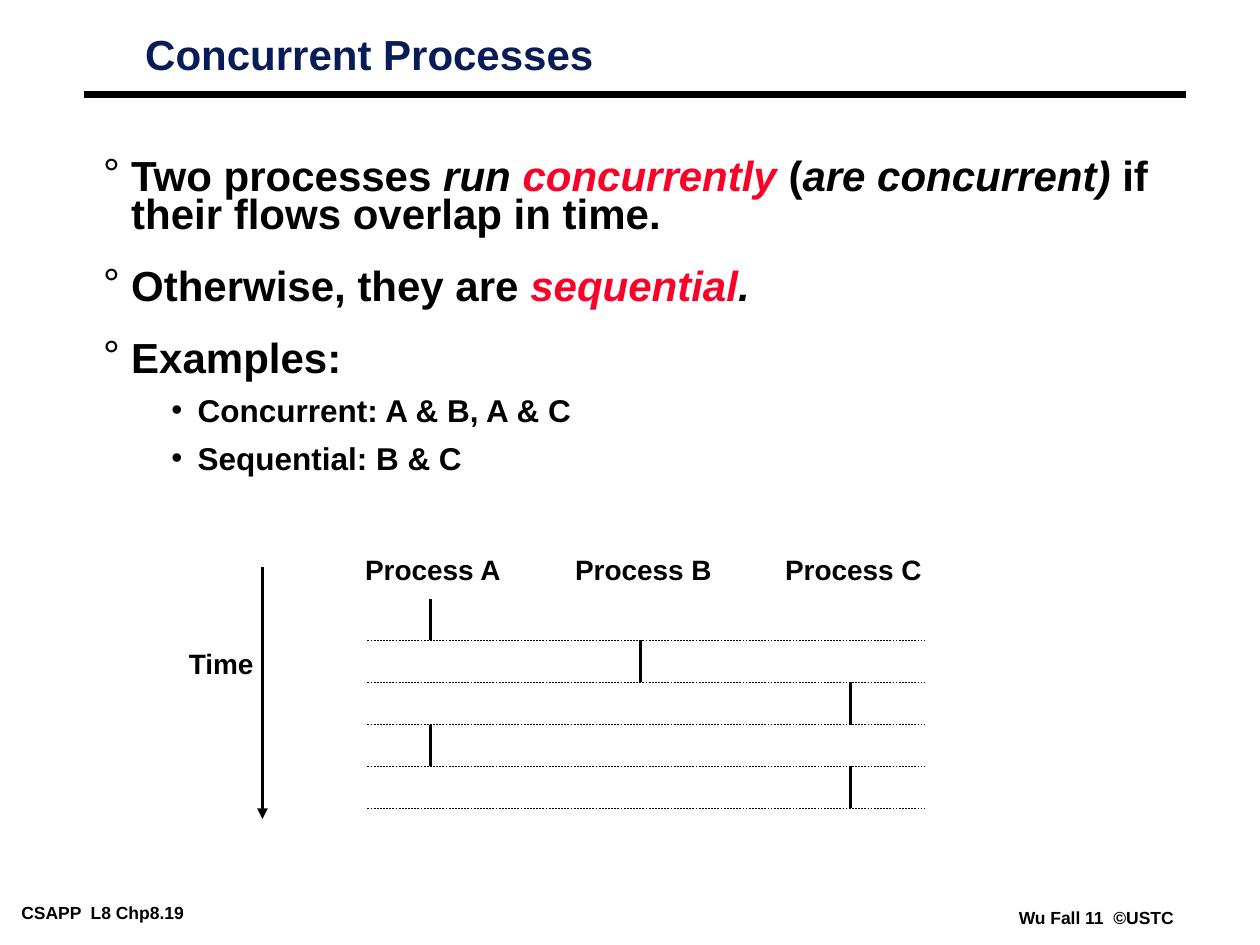
from dataclasses import dataclass

from lxml import etree
from pptx import Presentation
from pptx.dml.color import RGBColor
from pptx.enum.dml import MSO_LINE
from pptx.enum.shapes import MSO_CONNECTOR
from pptx.enum.text import MSO_ANCHOR, MSO_AUTO_SIZE, PP_ALIGN
from pptx.oxml.ns import qn
from pptx.util import Pt

DASH = MSO_LINE.DASH
STRAIGHT = MSO_CONNECTOR.STRAIGHT
TOP = MSO_ANCHOR.TOP
FIXED, GROW = MSO_AUTO_SIZE.NONE, MSO_AUTO_SIZE.SHAPE_TO_FIT_TEXT
LEFT = PP_ALIGN.LEFT


@dataclass(frozen=True)
class Theme:
    """Hold the font, colours and type sizes."""
    font: str = "Arial"
    ink: str = "000000"
    navy: str = "081D58"
    red: str = "FC0128"
    head: int = 24
    sub: int = 18
    label: int = 16
    foot: int = 10


THEME = Theme()
LEVELS = (
    {"size": THEME.head, "mark": "°", "left": 16, "hang": 16,
     "form": {"level": 0, "line_spacing": 0.75, "space_before": Pt(19.5)}},
    {"size": THEME.sub, "mark": "•", "left": 54, "hang": 15,
     "form": {"level": 1, "line_spacing": 0.85, "space_before": Pt(9)}},
)
PLAIN, SLANT, KEY = {}, {"italic": True}, {"italic": True, "color": THEME.red}
POINTS = (
    (0, (("Two processes ", PLAIN), ("run ", SLANT), ("concurrently", KEY),
         (" (", PLAIN), ("are concurrent)", SLANT),
         (" if their flows overlap in time.", PLAIN))),
    (0, (("Otherwise, they are ", PLAIN), ("sequential", KEY), (".", SLANT))),
    (0, (("Examples:", PLAIN),)),
    (1, (("Concurrent: A & B, A & C", PLAIN),)),
    (1, (("Sequential: B & C", PLAIN),)),
)
FOOTS = (("CSAPP  L8 Chp8.19", 7.2, 513, 140.4),
         ("Wu Fall 11  ©USTC", 577.2, 516.2, 103))
TURNS = "ABCAC"
LANES = {name: 246 + 120 * i for i, name in enumerate("ABC")}
START, STEP = 342, 24


def apply(item, form):
    """Set each named value on the item."""
    for name, value in form.items():
        setattr(item, name, value)


class Painter:
    """Draw styled elements on the current slide."""

    def __init__(self, theme, slide):
        self.theme, self.slide = theme, slide

    def frame(self, shape, box, pad, **form):
        """Place a text shape and return its frame."""
        apply(shape, dict(zip(("left", "top", "width", "height"), map(Pt, box))))
        side, edge = map(Pt, pad)
        apply(shape.text_frame, {
            "margin_left": side, "margin_right": side, "margin_top": edge,
            "margin_bottom": edge, "vertical_anchor": TOP, **form})
        return shape.text_frame

    def run(self, para, text, size, color=None, italic=False):
        """Add one run of bold text."""
        run = para.add_run()
        run.text = text
        apply(run.font, {"name": self.theme.font, "size": Pt(size),
                         "bold": True, "italic": italic})
        run.font.color.rgb = RGBColor.from_string(color or self.theme.ink)

    def title(self, text, box):
        """Fill the title placeholder."""
        frame = self.frame(self.slide.shapes.title, box, (5, 2.2),
                           word_wrap=True, auto_size=FIXED)
        para = frame.paragraphs[0]
        apply(para, {"alignment": LEFT, "line_spacing": 0.87})
        self.run(para, text, self.theme.head, self.theme.navy)

    def bullet(self, para, mark, left, hang):
        """Give a paragraph its mark and indent."""
        props = para._p.get_or_add_pPr()
        props.set("marL", str(Pt(left)))
        props.set("indent", str(-Pt(hang)))
        tint = etree.SubElement(props, qn("a:buClr"))
        etree.SubElement(tint, qn("a:srgbClr"), val=self.theme.ink)
        etree.SubElement(props, qn("a:buFont"), typeface=self.theme.font)
        etree.SubElement(props, qn("a:buChar"), char=mark)

    def body(self, points, box):
        """Fill the body placeholder with a list."""
        frame = self.frame(self.slide.placeholders[1], box, (5, 2.2),
                           word_wrap=True, auto_size=FIXED)
        for i, (level, runs) in enumerate(points):
            para = frame.add_paragraph() if i else frame.paragraphs[0]
            look = LEVELS[level]
            self.bullet(para, look["mark"], look["left"], look["hang"])
            apply(para, {"alignment": LEFT, **look["form"]})
            if not i:
                para.space_before = Pt(0)
            for text, style in runs:
                self.run(para, text, look["size"], **style)

    def label(self, text, box, size, pad=(7.2, 3.6)):
        """Add a one-line text box."""
        shape = self.slide.shapes.add_textbox(*map(Pt, box))
        frame = self.frame(shape, box, pad, word_wrap=False, auto_size=GROW)
        frame.paragraphs[0].alignment = LEFT
        self.run(frame.paragraphs[0], text, size)

    def line(self, ends, width, dash=None, arrow=False):
        """Add a straight line."""
        shape = self.slide.shapes.add_connector(STRAIGHT, *map(Pt, ends))
        shape.line.color.rgb = RGBColor.from_string(self.theme.ink)
        apply(shape.line, {"width": Pt(width), "dash_style": dash})
        if arrow:
            etree.SubElement(shape.line._get_or_add_ln(), qn("a:tailEnd"),
                             type="triangle")
        etree.SubElement(shape._element.spPr, qn("a:effectLst"))


def main():
    """Build the slide and save it."""
    deck = Presentation()
    apply(deck, {"slide_width": Pt(720), "slide_height": Pt(540)})
    pen = Painter(THEME, deck.slides.add_slide(deck.slide_layouts[1]))
    for text, *box in FOOTS:
        pen.label(text, (*box, 15.8), THEME.foot, (5, 2.2))
    pen.line((48, 54, 678, 54), 4.5)
    pen.title("Concurrent Processes", (78, 18, 478, 45.4))
    pen.body(POINTS, (54, 90, 618, 230.4))
    pen.line((150, 324, 150, 468), 2, arrow=True)
    pen.label("Time", (100.8, 366, 55, 26.6), THEME.label)
    for name, x in LANES.items():
        pen.label(f"Process {name}", (x - 44.4, 312, 97, 26.6), THEME.label)
    for i, name in enumerate(TURNS):
        x, top = LANES[name], START + STEP * i
        pen.line((x, top, x, top + STEP), 2)
        pen.line((210, top + STEP, 528, top + STEP), 0.25, DASH)
    deck.save("out.pptx")


if __name__ == "__main__":
    main()
